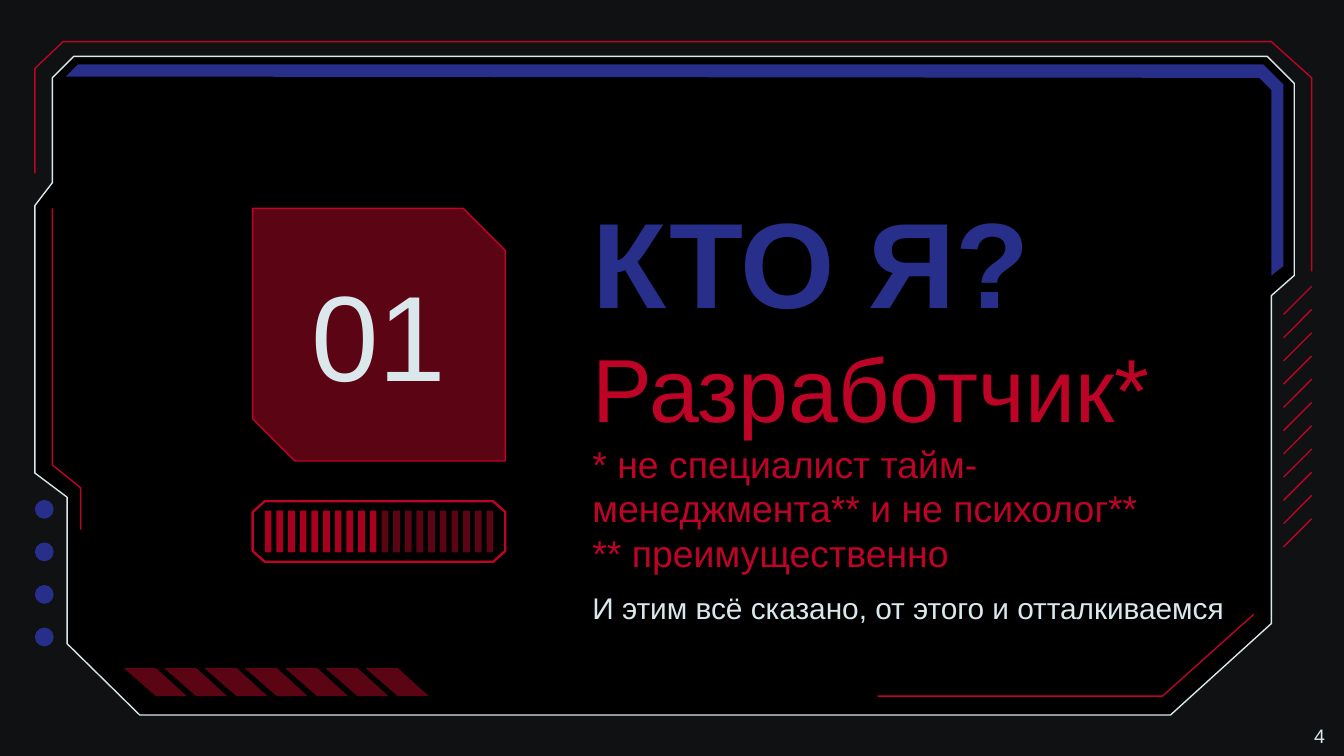
from lxml.etree import SubElement
from pptx import Presentation
from pptx.dml.color import RGBColor
from pptx.enum.shapes import MSO_CONNECTOR, MSO_SHAPE
from pptx.enum.text import MSO_ANCHOR, PP_ALIGN
from pptx.oxml.ns import qn
from pptx.util import Inches, Pt

COLORS = {
    "background": "101113",
    "panel": "000000",
    "light": "DAE8EC",
    "red": "BD0427",
    "bright_red": "A7011F",
    "dark_red": "5B0413",
    "blue": "272F8B",
}
FONT = "Arial"


def color(name):
    return RGBColor.from_string(COLORS[name])


def paint(shape, fill=None, line=None, width=0.75):
    shape.shadow.inherit = False
    if fill:
        shape.fill.solid()
        shape.fill.fore_color.rgb = color(fill)
    else:
        shape.fill.background()
    if line:
        shape.line.color.rgb = color(line)
        shape.line.width = Pt(width)
    else:
        shape.line.fill.background()


def add_outline(slide, left, top, points, closed=True, **style):
    """Draw a freeform through points measured from (left, top)."""
    corners = [(Inches(left + x), Inches(top + y)) for x, y in points]
    builder = slide.shapes.build_freeform(*corners[0])
    builder.add_line_segments(corners[1:], close=closed)
    paint(builder.convert_to_shape(), **style)


def add_preset(slide, kind, left, top, width, height, **style):
    shape = slide.shapes.add_shape(
        kind, Inches(left), Inches(top), Inches(width), Inches(height))
    paint(shape, **style)
    return shape


def add_text(slide, left, top, width, height, lines, anchor=MSO_ANCHOR.TOP,
             align=PP_ALIGN.LEFT, right_inset=0.1, bottom_inset=0.1):
    """Add one paragraph; each line is a list of (text, size, color, bold) runs."""
    box = slide.shapes.add_textbox(
        Inches(left), Inches(top), Inches(width), Inches(height))
    frame = box.text_frame
    frame.word_wrap = True
    frame.vertical_anchor = anchor
    frame.margin_left = frame.margin_top = Inches(0.1)
    frame.margin_right = Inches(right_inset)
    frame.margin_bottom = Inches(bottom_inset)
    paragraph = frame.paragraphs[0]
    paragraph.alignment = align
    for index, runs in enumerate(lines):
        if index:
            paragraph.add_line_break()
        for text, size, name, bold in runs:
            run = paragraph.add_run()
            run.text = text
            run.font.name = FONT
            run.font.size = Pt(size)
            run.font.bold = bold
            run.font.color.rgb = color(name)


def add_frame(slide, left, top):
    add_outline(slide, left, top, [
        (0.29, 0.11), (0.13, 0.27), (0.13, 1.05), (0, 1.22), (0, 3.21),
        (0.24, 3.39), (0.24, 4.48), (0.78, 5.01), (8.45, 5.01), (9.2, 4.33),
        (9.2, 1.89), (9.37, 1.74), (9.37, 0.31), (9.17, 0.11),
    ], fill="panel", line="light")
    add_outline(slide, left, top, [
        (0.32, 0.17), (0.23, 0.26), (9.11, 0.27), (9.2, 0.36),
        (9.2, 1.74), (9.29, 1.67), (9.29, 0.32), (9.14, 0.17),
    ], fill="blue")
    red_lines = [
        [(0, 0.98), (0, 0.2), (0.21, 0), (9.2, 0), (9.5, 0.27), (9.5, 1.71)],
        [(0.13, 1.24), (0.13, 3.15), (0.34, 3.32), (0.34, 3.63)],
        [(6.27, 4.87), (8.39, 4.87), (9.07, 4.26)],
    ]
    for points in red_lines:
        add_outline(slide, left, top, points, closed=False, line="red")


def add_hatching(slide, left, top, count=11, side=0.21, span=1.73):
    for index in range(count):
        y = top + index * span / (count - 1)
        connector = slide.shapes.add_connector(
            MSO_CONNECTOR.STRAIGHT, Inches(left + side), Inches(y),
            Inches(left), Inches(y + side))
        connector.line.color.rgb = color("red")
        connector.line.width = Pt(0.75)
        SubElement(connector.element.spPr, qn("a:effectLst"))


def add_dots(slide, left, top, count=4, size=0.14, span=0.95):
    for index in range(count):
        add_preset(slide, MSO_SHAPE.OVAL, left, top + index * span / (count - 1),
                   size, size, fill="blue")


def add_stripes(slide, left, top, count=7, step=0.3):
    stripe = [(0, 0), (0.24, 0), (0.47, 0.21), (0.24, 0.21)]
    for index in range(count):
        add_outline(slide, left + index * step, top, stripe, fill="dark_red")


def add_number_badge(slide, left, top, size):
    badge = add_preset(slide, MSO_SHAPE.SNIP_2_DIAG_RECTANGLE, left, top,
                       size, size, fill="dark_red", line="red")
    badge.adjustments[0] = 0
    badge.adjustments[1] = 0.167
    add_text(slide, left, top + 0.26, size, 1.33, [[("01", 65, "light", False)]],
             anchor=MSO_ANCHOR.MIDDLE, align=PP_ALIGN.CENTER)


def add_progress_bar(slide, left, top, width, height, count=20, filled=10):
    cut_x, cut_y = 0.09, 0.08
    add_outline(slide, left, top, [
        (cut_x, 0), (width - cut_x, 0), (width, cut_y), (width, height - cut_y),
        (width - cut_x, height), (cut_x, height), (0, height - cut_y), (0, cut_y),
    ], line="red", width=1.25)
    bar_width = 0.05
    step = (width - 2 * cut_x - bar_width) / (count - 1)
    for index in range(count):
        add_preset(slide, MSO_SHAPE.RECTANGLE, left + cut_x + index * step,
                   top + 0.07, bar_width, height - 0.14,
                   fill="bright_red" if index < filled else "dark_red")


def add_heading(slide, left, top):
    add_text(slide, left, top, 4.6, 3.63, [
        [("КТО Я? ", 65, "blue", True), ("Разработчик*", 48, "red", False)],
        [("* не специалист тайм-менеджмента** и не психолог**", 20, "red", False)],
        [("** преимущественно", 20, "red", False)],
    ], anchor=MSO_ANCHOR.BOTTOM, right_inset=0.05, bottom_inset=0.9)
    add_text(slide, left, top + 2.74, 5.69, 0.77,
             [[("И этим всё сказано, от этого и отталкиваемся", 16, "light", False)]])


def main():
    presentation = Presentation()
    presentation.slide_width = Inches(10)
    presentation.slide_height = Inches(10) * 9 // 16
    slide = presentation.slides.add_slide(presentation.slide_layouts[6])
    slide.background.fill.solid()
    slide.background.fill.fore_color.rgb = color("background")

    add_frame(slide, 0.26, 0.31)
    add_hatching(slide, 9.55, 2.13)
    add_dots(slide, 0.26, 3.72)
    add_stripes(slide, 0.92, 4.97)
    add_number_badge(slide, 1.88, 1.55, 1.88)
    add_heading(slide, 4.31, 1.55)
    add_progress_bar(slide, 1.88, 3.73, 1.88, 0.45)
    add_text(slide, 9.68, 5.3, 0.32, 0.3, [[("4", 10.5, "light", False)]], right_inset=0)
    presentation.save("out.pptx")


if __name__ == "__main__":
    main()
